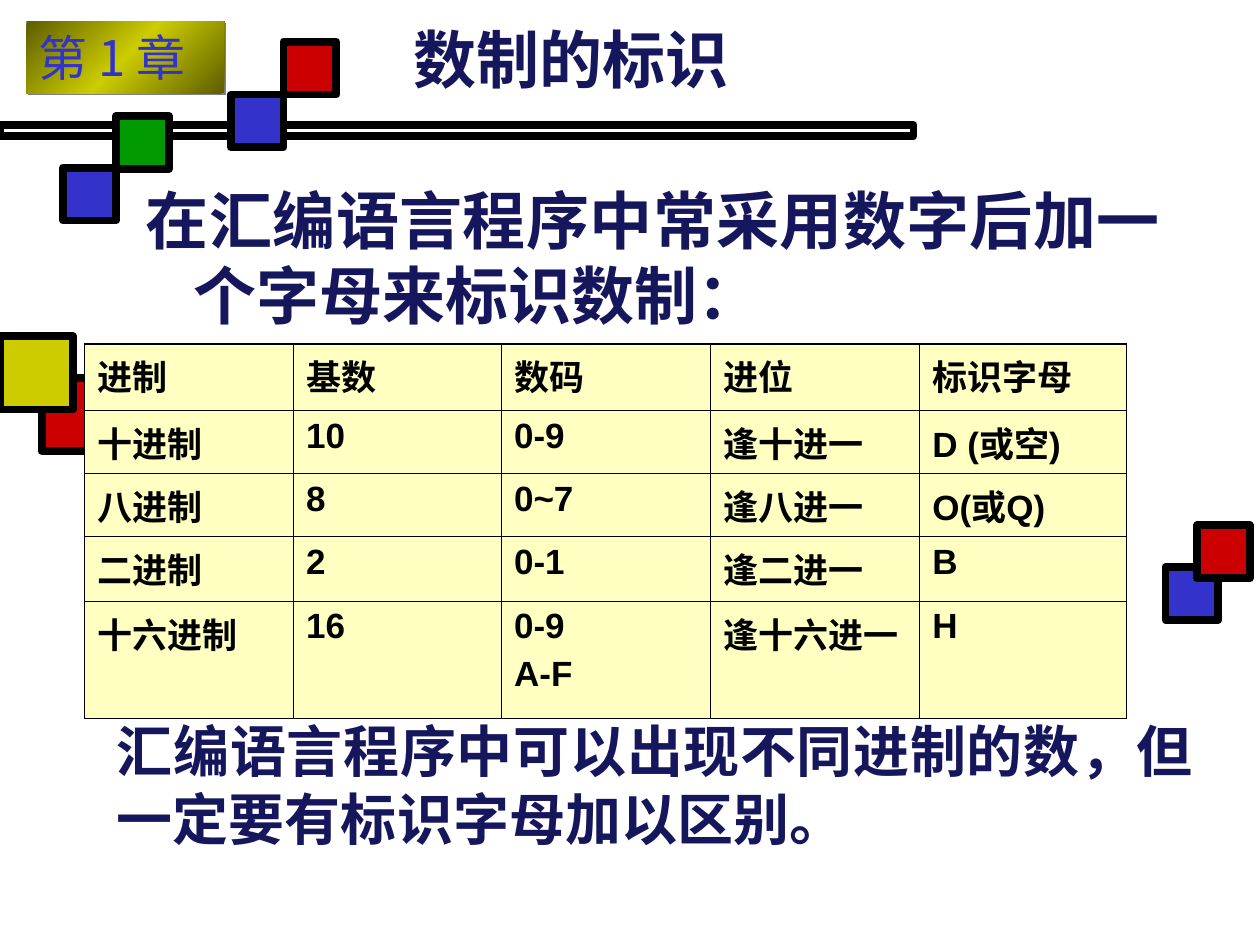
"""Slide on how number bases are marked in assembly language."""
from dataclasses import dataclass

from lxml.etree import SubElement
from pptx import Presentation
from pptx.dml.color import RGBColor
from pptx.enum.shapes import MSO_SHAPE
from pptx.enum.text import MSO_ANCHOR, PP_ALIGN
from pptx.oxml import parse_xml
from pptx.oxml.ns import nsdecls, qn
from pptx.util import Inches, Pt

BLACK, WHITE, NAVY, CREAM = "000000", "FFFFFF", "16165D", "FFFFC2"
BLUE, RED, GREEN, YELLOW = "3333CC", "CC0000", "009900", "CCCC00"
OLIVE, GREY = "5E5E00", "808080"
THIN, THICK = 0.45, 1.08


@dataclass
class Square:
    left: float
    top: float
    color: str
    size: float = 0.42


SQUARES = [
    Square(9.25, 4.5, BLUE),
    Square(9.5, 4.17, RED),
    Square(1.83, 0.75, BLUE),
    Square(0.5, 1.33, BLUE),
    Square(0.92, 0.92, GREEN),
    Square(2.25, 0.33, RED),
    Square(0.33, 3, RED, 0.58),
    Square(0, 2.67, YELLOW, 0.58),
]
COLUMNS = [1.66, 1.65, 1.66, 1.66, 1.64]
HEIGHTS = [0.53, 0.5, 0.5, 0.51, 0.93]
BASES = [
    ["进制", "基数", "数码", "进位", "标识字母"],
    ["十进制", "10", "0-9", "逢十进一", "D (或空)"],
    ["八进制", "8", "0~7", "逢八进一", "O(或Q)"],
    ["二进制", "2", "0-1", "逢二进一", "B"],
    ["十六进制", "16", "0-9\nA-F", "逢十六进一", "H"],
]


def rgb(color: str) -> RGBColor:
    """Turn a hex string into a colour."""
    return RGBColor.from_string(color)


def add_box(s, left: float, top: float, width: float, height: float,
            fill: str | None = None, line: str | None = None):
    """Add a plain rectangle with an optional fill and heavy outline."""
    sp = s.shapes.add_shape(MSO_SHAPE.RECTANGLE, Inches(left), Inches(top),
                            Inches(width), Inches(height))
    sp.shadow.inherit = False
    if fill:
        sp.fill.solid()
        sp.fill.fore_color.rgb = rgb(fill)
    else:
        sp.fill.background()
    if line:
        sp.line.color.rgb = rgb(line)
        sp.line.width = Pt(4.5)
    else:
        sp.line.fill.background()
    return sp


def write(tf, text: str, *, size: float, color: str = NAVY, font: str = "Arial",
          bold: bool = True, align=PP_ALIGN.JUSTIFY, anchor=MSO_ANCHOR.TOP,
          wrap: bool = True, gap: float = 0, hanging: float = 0) -> None:
    """Write text, one paragraph per line, into a text frame."""
    tf.word_wrap = wrap
    tf.vertical_anchor = anchor
    for i, line in enumerate(text.split("\n")):
        p = tf.add_paragraph() if i else tf.paragraphs[0]
        p.alignment = align
        if i:
            p.space_before = Pt(gap)
        if hanging:
            pPr = p._p.get_or_add_pPr()
            pPr.set("marL", str(Inches(hanging)))
            pPr.set("indent", str(-Inches(hanging)))
        r = p.add_run()
        r.text = line
        r.font.size = Pt(size)
        r.font.name = font
        r.font.bold = bold
        r.font.color.rgb = rgb(color)


def add_label(s, left: float, top: float, width: float, height: float,
              text: str, **style) -> None:
    """Add a text box with formatted text."""
    sp = s.shapes.add_textbox(Inches(left), Inches(top), Inches(width), Inches(height))
    write(sp.text_frame, text, **style)


def add_badge(s, text: str) -> None:
    """Add the chapter badge with its gradient and shadow."""
    sp = add_box(s, 0.21, 0.17, 1.57, 0.57)
    spPr = sp._element.spPr
    stops = "".join(f'<a:gs pos="{pos * 1000}"><a:srgbClr val="{color}"/></a:gs>'
                    for pos, color in [(0, OLIVE), (50, YELLOW), (100, OLIVE)])
    spPr.replace(spPr.find(qn("a:noFill")), parse_xml(
        f'<a:gradFill {nsdecls("a")}><a:gsLst>{stops}</a:gsLst>'
        '<a:lin ang="2700000" scaled="0"/></a:gradFill>'))
    shadow = SubElement(spPr.find(qn("a:effectLst")), qn("a:outerShdw"),
                        dist=str(Pt(1.4)), dir="2700000")
    SubElement(shadow, qn("a:srgbClr"), val=GREY)
    write(sp.text_frame, text, size=28, color=BLUE, font="Noto Sans CJK JP",
          bold=False, align=PP_ALIGN.LEFT, wrap=False)


def set_borders(cell, left: float, top: float) -> None:
    """Draw the four black borders of a cell."""
    tcPr = cell._tc.get_or_add_tcPr()
    for side, width in zip("LRTB", (left, THIN, top, THIN)):
        ln = SubElement(tcPr, qn(f"a:ln{side}"), w=str(Pt(width)))
        SubElement(SubElement(ln, qn("a:solidFill")), qn("a:srgbClr"), val=BLACK)


def add_bases_table(s) -> None:
    """Add the table of number bases."""
    table = s.shapes.add_table(len(BASES), len(COLUMNS), Inches(0.67), Inches(2.73),
                               Inches(sum(COLUMNS)), Inches(sum(HEIGHTS))).table
    table.first_row = table.horz_banding = False
    for column, width in zip(table.columns, COLUMNS):
        column.width = Inches(width)
    for row, height in zip(table.rows, HEIGHTS):
        row.height = Inches(height)
    for i, texts in enumerate(BASES):
        for j, text in enumerate(texts):
            cell = table.cell(i, j)
            set_borders(cell, THICK if j == 0 and i < 3 else THIN,
                        THICK if i == 0 else THIN)
            cell.fill.solid()
            cell.fill.fore_color.rgb = rgb(CREAM)
            write(cell.text_frame, text, size=20, color=BLACK, gap=5)


def main() -> None:
    """Build and save the slide."""
    prs = Presentation()
    prs.slide_width, prs.slide_height = Inches(10), Inches(7.5)
    s = prs.slides.add_slide(prs.slide_layouts[6])
    add_box(s, 0, 0.99, 7.25, 0.09, line=BLACK)
    for sq in SQUARES:
        add_box(s, sq.left, sq.top, sq.size, sq.size, sq.color, BLACK)
    add_badge(s, "第 1 章")
    add_label(s, 3.18, 0, 6.12, 0.92, "数制的标识", size=36, font="Karla",
              anchor=MSO_ANCHOR.MIDDLE)
    intro = add_box(s, 1.06, 1.39, 8.25, 1.38, WHITE)
    write(intro.text_frame, "在汇编语言程序中常采用数字后加一个字母来标识数制：",
          size=36, hanging=0.38)
    add_bases_table(s)
    add_label(s, 0.83, 5.64, 8.74, 1.17,
              "汇编语言程序中可以出现不同进制的数，但一定要有标识字母加以区别。", size=32)
    prs.save("out.pptx")


if __name__ == "__main__":
    main()
